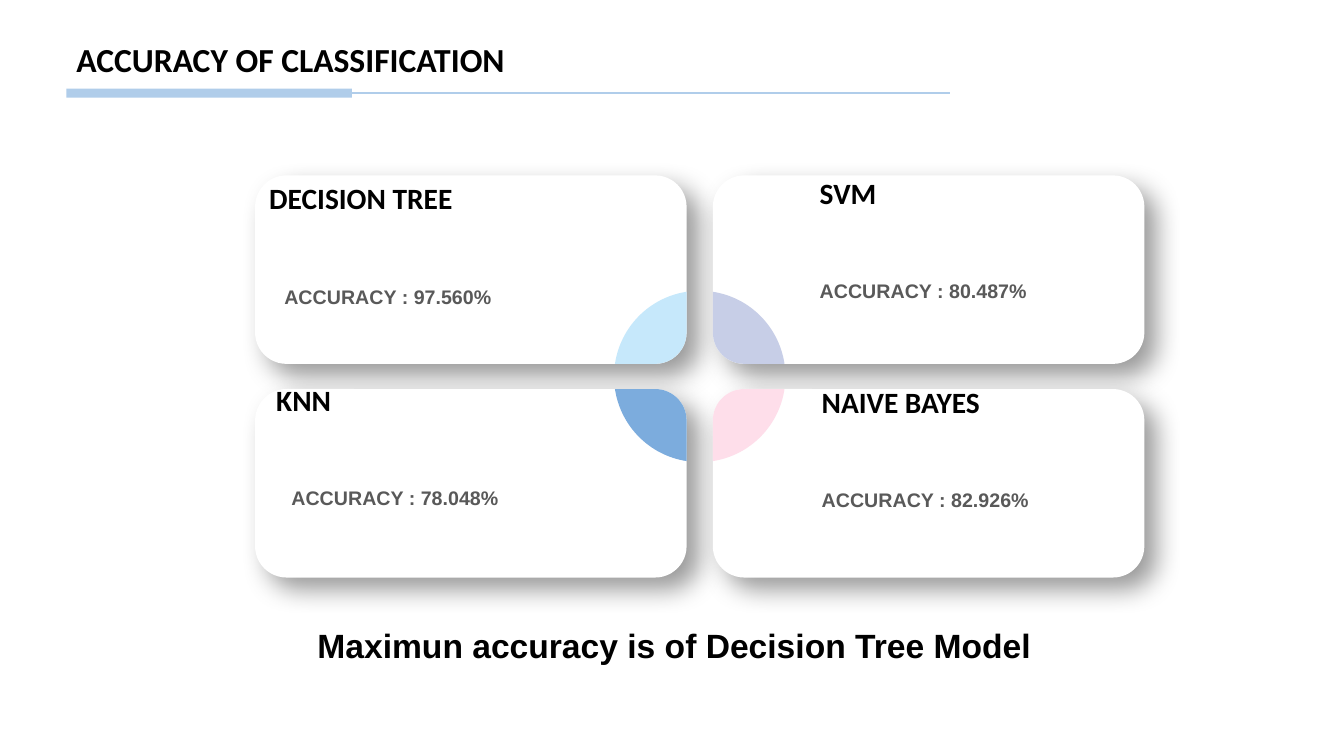
import math

from lxml import etree
from pptx import Presentation
from pptx.dml.color import RGBColor
from pptx.enum import shapes, text
from pptx.oxml import ns
from pptx.util import Inches, Pt

BLACK = RGBColor(0x00, 0x00, 0x00)
WHITE = RGBColor(0xFF, 0xFF, 0xFF)
GREY = RGBColor(0x59, 0x59, 0x59)
RULE_BLUE = RGBColor(0xB0, 0xCD, 0xEA)
SKY = RGBColor(0xC6, 0xE8, 0xFB)
BLUE = RGBColor(0x7C, 0xAC, 0xDD)
LILAC = RGBColor(0xC7, 0xCE, 0xE7)
PINK = RGBColor(0xFE, 0xDE, 0xEA)

# Content: model, accuracy, colour, side (x, y), heading place, accuracy place
TITLE = "ACCURACY OF CLASSIFICATION"
CONCLUSION = "Maximun accuracy is of Decision Tree Model"
MODELS = [
    ("DECISION TREE", "97.560%", SKY, (-1, -1), (2.67, 1.74), (2.82, 2.78)),
    ("KNN", "78.048%", BLUE, (-1, 1), (2.74, 3.74), (2.89, 4.77)),
    ("SVM", "80.487%", LILAC, (1, -1), (8.13, 1.69), (8.13, 2.72)),
    ("NAIVE BAYES", "82.926%", PINK, (1, 1), (8.15, 3.76), (8.15, 4.79)),
]

# Layout: four cards around one centre, with a disc behind their inner corners
CENTRE_X, CENTRE_Y = 6.94, 3.735
HALF_GAP_X, HALF_GAP_Y = 0.13, 0.125
CARD_W, CARD_H = 4.28, 1.87
CORNER = CARD_H / 6
DISC_RADIUS = 0.85

deck = Presentation()
deck.slide_width, deck.slide_height = Inches(13.33), Inches(7.5)
page = deck.slides.add_slide(deck.slide_layouts[6])


def paint(shape, colour):
    shape.shadow.inherit = False
    shape.fill.solid()
    shape.fill.fore_color.rgb = colour
    shape.line.fill.background()


def add_text(words, place, size, font, points, colour=BLACK, margin=0.0,
             align=text.PP_ALIGN.LEFT):
    box = page.shapes.add_textbox(*map(Inches, place + size))
    frame = box.text_frame
    frame.word_wrap = True
    frame.vertical_anchor = text.MSO_ANCHOR.TOP
    frame.margin_left = frame.margin_right = Inches(margin)
    frame.text = words
    para = frame.paragraphs[0]
    para.alignment = align
    style = para.runs[0].font
    style.name, style.size, style.bold = font, Pt(points), True
    style.color.rgb = colour


def add_card(side_x, side_y):
    left = CENTRE_X + side_x * (HALF_GAP_X + CARD_W / 2) - CARD_W / 2
    top = CENTRE_Y + side_y * (HALF_GAP_Y + CARD_H / 2) - CARD_H / 2
    card = page.shapes.add_shape(shapes.MSO_SHAPE.ROUNDED_RECTANGLE,
                                 *map(Inches, (left, top, CARD_W, CARD_H)))
    paint(card, WHITE)
    effects = card._element.spPr.find(ns.qn("a:effectLst"))
    shadow = etree.SubElement(effects, ns.qn("a:outerShdw"), blurRad=str(Pt(19)),
                              dist=str(Pt(12)), dir="2700000", algn="tl", rotWithShape="0")
    black = etree.SubElement(shadow, ns.qn("a:srgbClr"), val="000000")
    etree.SubElement(black, ns.qn("a:alpha"), val="40000")


def arc(x, y, radius, start, end):
    """Four control points of one Bezier curve along a circle."""
    reach = 4 / 3 * math.tan((end - start) / 4)
    (c0, s0), (c1, s1) = ((math.cos(a), math.sin(a)) for a in (start, end))
    unit = [(c0, s0), (c0 - reach * s0, s0 + reach * c0),
            (c1 + reach * s1, s1 - reach * c1), (c1, s1)]
    return [(x + radius * u, y + radius * v) for u, v in unit]


def add_sector(side_x, side_y, colour):
    # Outer disc edge, then the rounded inner corner of the card
    outline = arc(0, 0, DISC_RADIUS, math.asin(HALF_GAP_Y / DISC_RADIUS),
                  math.acos(HALF_GAP_X / DISC_RADIUS))
    outline += arc(HALF_GAP_X + CORNER, HALF_GAP_Y + CORNER, CORNER, math.pi, 1.5 * math.pi)
    points = [(Inches(CENTRE_X + side_x * x), Inches(CENTRE_Y + side_y * y)) for x, y in outline]
    builder = page.shapes.build_freeform(*points[0])
    builder.add_line_segments(points[1:], close=True)
    sector = builder.convert_to_shape()
    paint(sector, colour)
    # Join the control points of each arc into a curve
    lines = list(sector._element.iter(ns.qn("a:lnTo")))
    for first in (0, 4):
        curve = etree.Element(ns.qn("a:cubicBezTo"))
        lines[first].addprevious(curve)
        for line in lines[first:first + 3]:
            curve.append(line[0])
            line.getparent().remove(line)


# Model cards
for model, accuracy, colour, side, heading_at, accuracy_at in MODELS:
    add_card(*side)
    add_sector(*side, colour)
    add_text(model, heading_at, (3.14, 0.81), "Calibri", 21)
    add_text(f"ACCURACY : {accuracy}", accuracy_at, (3, 0.34), "Arial", 14, GREY,
             align=text.PP_ALIGN.JUSTIFY)

# Title and its rule
add_text(TITLE, (0.66, 0.34), (6.6, 0.91), "Calibri", 24, margin=0.1)
rule = page.shapes.add_connector(shapes.MSO_CONNECTOR.STRAIGHT,
                                 *map(Inches, (0.73, 0.92, 9.42, 0.92)))
rule.line.color.rgb = RULE_BLUE
rule.line.width = Pt(1.25)
etree.SubElement(rule._element.spPr, ns.qn("a:effectLst"))
bar = page.shapes.add_shape(shapes.MSO_SHAPE.RECTANGLE,
                            *map(Inches, (0.66, 0.88, 2.83, 0.09)))
paint(bar, RULE_BLUE)

# Conclusion
add_text(CONCLUSION, (3.05, 6.15), (7.3, 0.91), "Arial", 24, margin=0.1)

deck.save("out.pptx")
